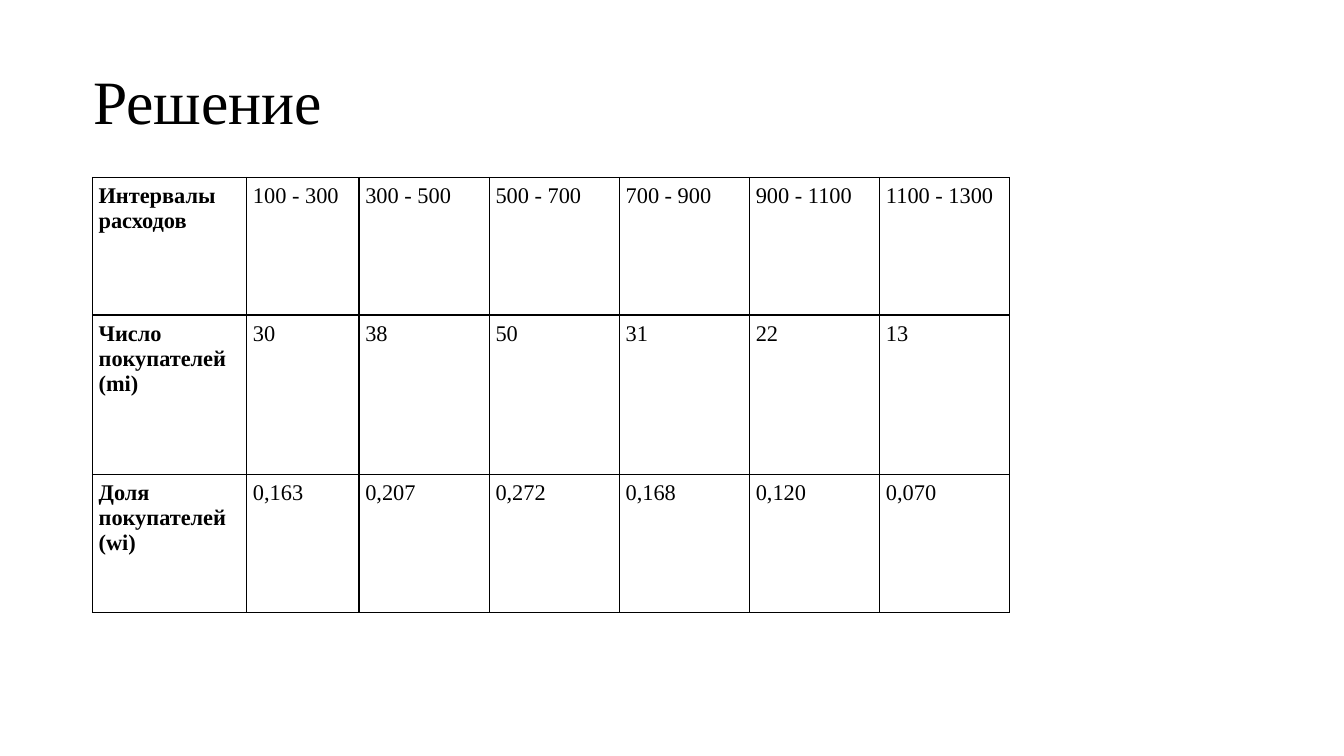
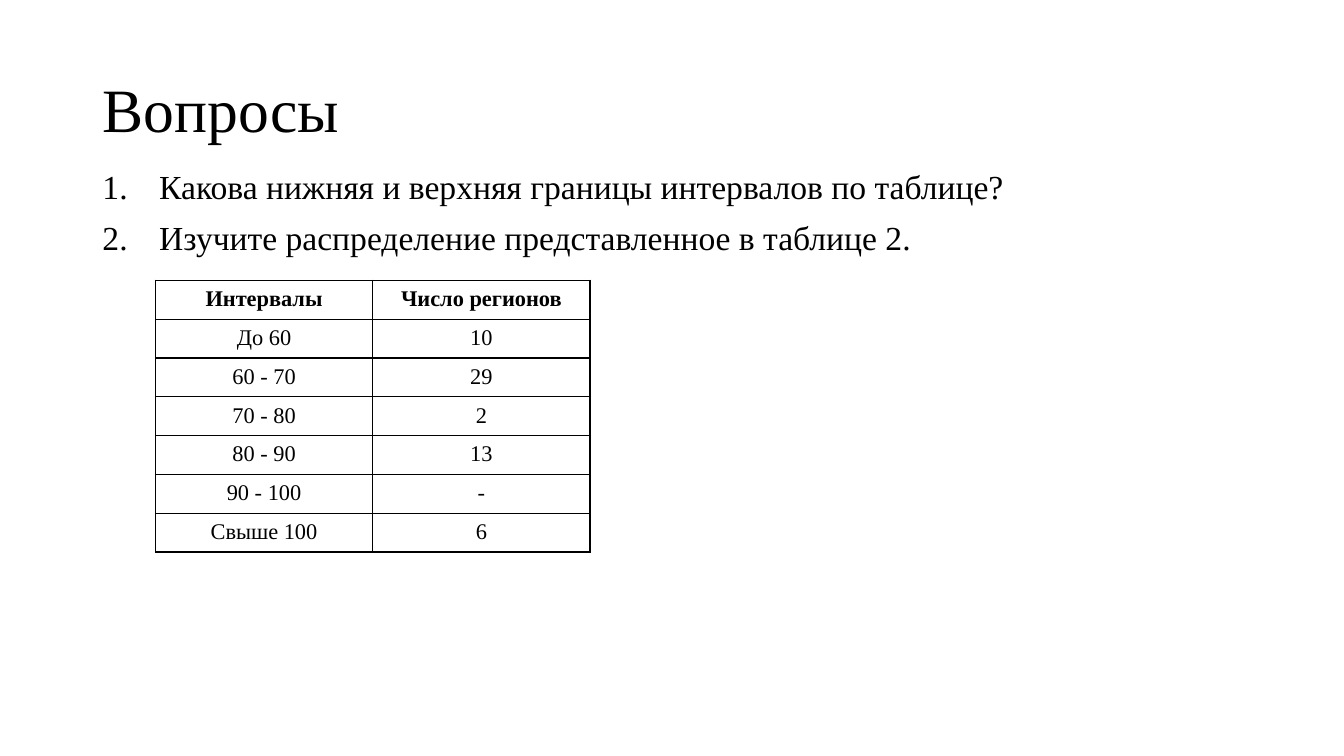
"""Build two slides on interval distributions: the solution table and the questions."""
from dataclasses import dataclass

from lxml.etree import SubElement
from pptx import Presentation
from pptx.dml.color import RGBColor
from pptx.enum.text import MSO_ANCHOR, PP_ALIGN
from pptx.oxml.ns import qn
from pptx.util import Pt

PX = 9525


@dataclass(frozen=True)
class Theme:
    font: str = "Times New Roman"
    ink: str = "000000"
    paper: str = "FFFFFF"
    title_size: int = 44
    question_size: int = 24
    cell_size: int = 16
    line_spacing: float = 0.9
    question_gap: int = 10
    border: int = 1
    cell_inset: int = 6
    number_indent: int = 54


THEME = Theme()
SLIDE_SIZE = (1280, 720)
TITLE_SIZE = (1104, 139)
TITLE_ONLY, TITLE_AND_BODY = 5, 1

SOLUTION = {
    "title": "Решение",
    "title_at": (79, 30),
    "questions": [],
    "table": {
        "at": (88, 169),
        "columns": [147, 107] + [124] * 5,
        "row_heights": [131, 152, 131],
        "align": PP_ALIGN.LEFT,
        "bold": lambda row, column: column == 0,
        "rows": [
            ["Интервалы расходов", "100 - 300", "300 - 500", "500 - 700",
             "700 - 900", "900 - 1100", "1100 - 1300"],
            ["Число покупателей (mi)", "30", "38", "50", "31", "22", "13"],
            ["Доля покупателей (wi)", "0,163", "0,207", "0,272", "0,168", "0,120", "0,070"],
        ],
    },
}

QUESTIONS = {
    "title": "Вопросы",
    "title_at": (88, 38),
    "questions_box": (88, 158, 1096, 491),
    "questions": [
        "Какова нижняя и верхняя границы интервалов по таблице?",
        "Изучите распределение представленное в таблице 2.",
    ],
    "table": {
        "at": (148, 267),
        "columns": [207] * 2,
        "row_heights": [37] * 7,
        "align": PP_ALIGN.CENTER,
        "bold": lambda row, column: row == 0,
        "rows": [
            ("Интервалы", "Число регионов"),
            ("До 60", "10"),
            ("60 - 70", "29"),
            ("70 - 80", "2"),
            ("80 - 90", "13"),
            ("90 - 100", "-"),
            ("Свыше 100", "6"),
        ],
    },
}


def emu(lengths):
    return [length * PX for length in lengths]


def place(placeholder, box):
    placeholder.left, placeholder.top, placeholder.width, placeholder.height = emu(box)


def write(paragraph, text, size, align=PP_ALIGN.LEFT, bold=False):
    paragraph.alignment = align
    run = paragraph.add_run()
    run.text = text
    run.font.name = THEME.font
    run.font.size = Pt(size)
    run.font.bold = bold
    run.font.color.rgb = RGBColor.from_string(THEME.ink)


def add_title(slide, text, at):
    title = slide.shapes.title
    place(title, (*at, *TITLE_SIZE))
    title.text_frame.vertical_anchor = MSO_ANCHOR.MIDDLE
    heading = title.text_frame.paragraphs[0]
    heading.line_spacing = THEME.line_spacing
    write(heading, text, THEME.title_size)


def add_questions(slide, questions, box):
    body = slide.placeholders[1]
    place(body, box)
    frame = body.text_frame
    for index, question in enumerate(questions):
        item = frame.add_paragraph() if index else frame.paragraphs[0]
        item.line_spacing = THEME.line_spacing
        item.space_before = Pt(THEME.question_gap)
        write(item, question, THEME.question_size)
        properties = item._p.get_or_add_pPr()
        indent = THEME.number_indent * PX
        properties.set("marL", str(indent))
        properties.set("indent", str(-indent))
        SubElement(properties, qn("a:buFont"), typeface="+mj-lt")
        SubElement(properties, qn("a:buAutoNum"), type="arabicPeriod")


def draw_borders(cell):
    properties = cell._tc.get_or_add_tcPr()
    for side in ("a:lnL", "a:lnR", "a:lnT", "a:lnB"):
        line = SubElement(properties, qn(side), w=str(Pt(THEME.border)))
        fill = SubElement(line, qn("a:solidFill"))
        SubElement(fill, qn("a:srgbClr"), val=THEME.ink)


def add_distribution(slide, rows, at, columns, row_heights, align, bold):
    size = (sum(columns), sum(row_heights))
    table = slide.shapes.add_table(len(rows), len(columns), *emu((*at, *size))).table
    table.first_row = table.horz_banding = False
    for column, width in zip(table.columns, emu(columns)):
        column.width = width
    for row, height in zip(table.rows, emu(row_heights)):
        row.height = height
    for r, values in enumerate(rows):
        for c, value in enumerate(values):
            cell = table.cell(r, c)
            inset = THEME.cell_inset * PX
            cell.margin_left = cell.margin_right = inset
            cell.margin_top = cell.margin_bottom = inset
            draw_borders(cell)
            cell.fill.background()
            write(cell.text_frame.paragraphs[0], value, THEME.cell_size, align, bold(r, c))


def main():
    deck = Presentation()
    deck.slide_width, deck.slide_height = emu(SLIDE_SIZE)
    background = deck.slide_master.background.fill
    background.solid()
    background.fore_color.rgb = RGBColor.from_string(THEME.paper)
    for content in (SOLUTION, QUESTIONS):
        layout = TITLE_AND_BODY if content["questions"] else TITLE_ONLY
        slide = deck.slides.add_slide(deck.slide_layouts[layout])
        add_title(slide, content["title"], content["title_at"])
        if content["questions"]:
            add_questions(slide, content["questions"], content["questions_box"])
        add_distribution(slide, **content["table"])
    deck.save("out.pptx")


if __name__ == "__main__":
    main()
